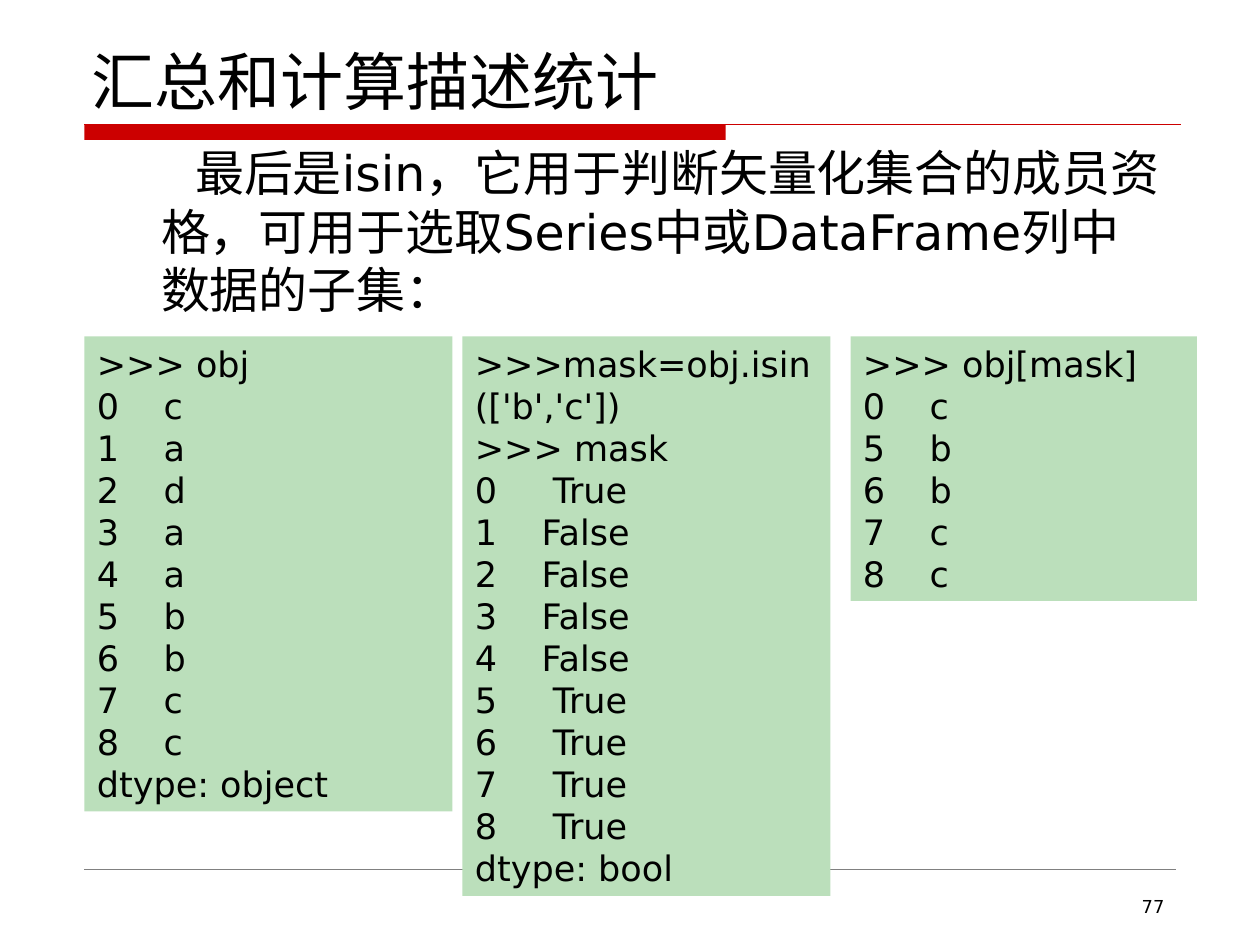
from lxml import etree
from pptx import Presentation
from pptx.dml.color import RGBColor
from pptx.enum import shapes, text
from pptx.oxml import ns
from pptx.util import Inches, Pt

FONT = "DejaVu Sans"
BLACK, RED, GREY, GREEN = "000000", "CC0000", "808080", "BBDFBB"

OBJ_CODE = [">>> obj"] + [f"{i}    {v}" for i, v in enumerate("cadaabbcc")] + ["dtype: object"]
MASK_CODE = [
    ">>>mask=obj.isin(['b','c'])",
    ">>> mask",
    *(f"{i}    {str(v in 'bc'):>5}" for i, v in enumerate("cadaabbcc")),
    "dtype: bool",
]
SUBSET_CODE = [">>> obj[mask]"] + [f"{i}    {v}" for i, v in zip((0, 5, 6, 7, 8), "cbbcc")]


def color(hex_value):
    return RGBColor.from_string(hex_value)


def write(frame, lines, size, align=text.PP_ALIGN.LEFT):
    frame.word_wrap = True
    frame.text = "\n".join(lines)
    for paragraph in frame.paragraphs:
        paragraph.alignment = align
        for run in paragraph.runs:
            run.font.name = FONT
            run.font.size = Pt(size)
            run.font.color.rgb = color(BLACK)


def add_text(slide, box, content, size, align=text.PP_ALIGN.LEFT):
    frame = slide.shapes.add_textbox(*map(Inches, box)).text_frame
    write(frame, [content], size, align)
    return frame


def add_rect(slide, box, fill):
    rect = slide.shapes.add_shape(shapes.MSO_SHAPE.RECTANGLE, *map(Inches, box))
    rect.shadow.inherit = False
    rect.fill.solid()
    rect.fill.fore_color.rgb = color(fill)
    rect.line.fill.background()
    return rect


def add_rule(slide, left, top, width, line_color, weight):
    rule = slide.shapes.add_connector(
        shapes.MSO_CONNECTOR.STRAIGHT,
        Inches(left), Inches(top), Inches(left + width), Inches(top))
    rule.line.color.rgb = color(line_color)
    rule.line.width = Pt(weight)
    etree.SubElement(rule._element.spPr, ns.qn("a:effectLst"))


def add_header(slide, left, top, width, height):
    bar_top = top + height
    add_rect(slide, (left, bar_top, 5.09, 0.12), RED)
    add_rule(slide, left, bar_top, width, RED, 0.75)
    title = add_text(slide, (left - 0.04, top, width, height), "汇总和计算描述统计", 36)
    title.vertical_anchor = text.MSO_ANCHOR.BOTTOM


def add_body(slide, left, top, width, height):
    body = add_text(
        slide, (left, top, width, height),
        "最后是isin，它用于判断矢量化集合的成员资格，可用于选取Series中或DataFrame列中 数据的子集：", 28)
    properties = body.paragraphs[0]._p.get_or_add_pPr()
    properties.set("marL", str(Inches(0.51)))
    properties.set("indent", str(Inches(0.27)))


def add_code(slide, left, top, width, height, lines):
    panel = add_rect(slide, (left, top, width, height), GREEN)
    frame = panel.text_frame
    write(frame, lines, 20)
    frame.vertical_anchor = text.MSO_ANCHOR.TOP
    frame.auto_size = text.MSO_AUTO_SIZE.SHAPE_TO_FIT_TEXT


def add_footer(slide, left, top, width):
    add_rule(slide, left, top, width, GREY, 0.25)
    add_text(slide, (left + width - 2.16, top + 0.16, 2.17, 0.29), "77", 10.2,
             text.PP_ALIGN.RIGHT)


def main():
    deck = Presentation()
    deck.slide_width, deck.slide_height = Inches(10), Inches(7.5)
    slide = deck.slides.add_slide(deck.slide_layouts[6])
    left, code_top = 0.67, 2.67
    add_header(slide, left, 0.33, 8.7, 0.66)
    add_footer(slide, left, 6.9, 8.66)
    add_body(slide, left, 1.08, 8.75, 1.5)
    add_code(slide, 3.67, code_top, 2.92, 4.44, MASK_CODE)
    add_code(slide, left, code_top, 2.92, 3.77, OBJ_CODE)
    add_code(slide, 6.75, code_top, 2.75, 2.1, SUBSET_CODE)
    deck.save("out.pptx")


if __name__ == "__main__":
    main()
